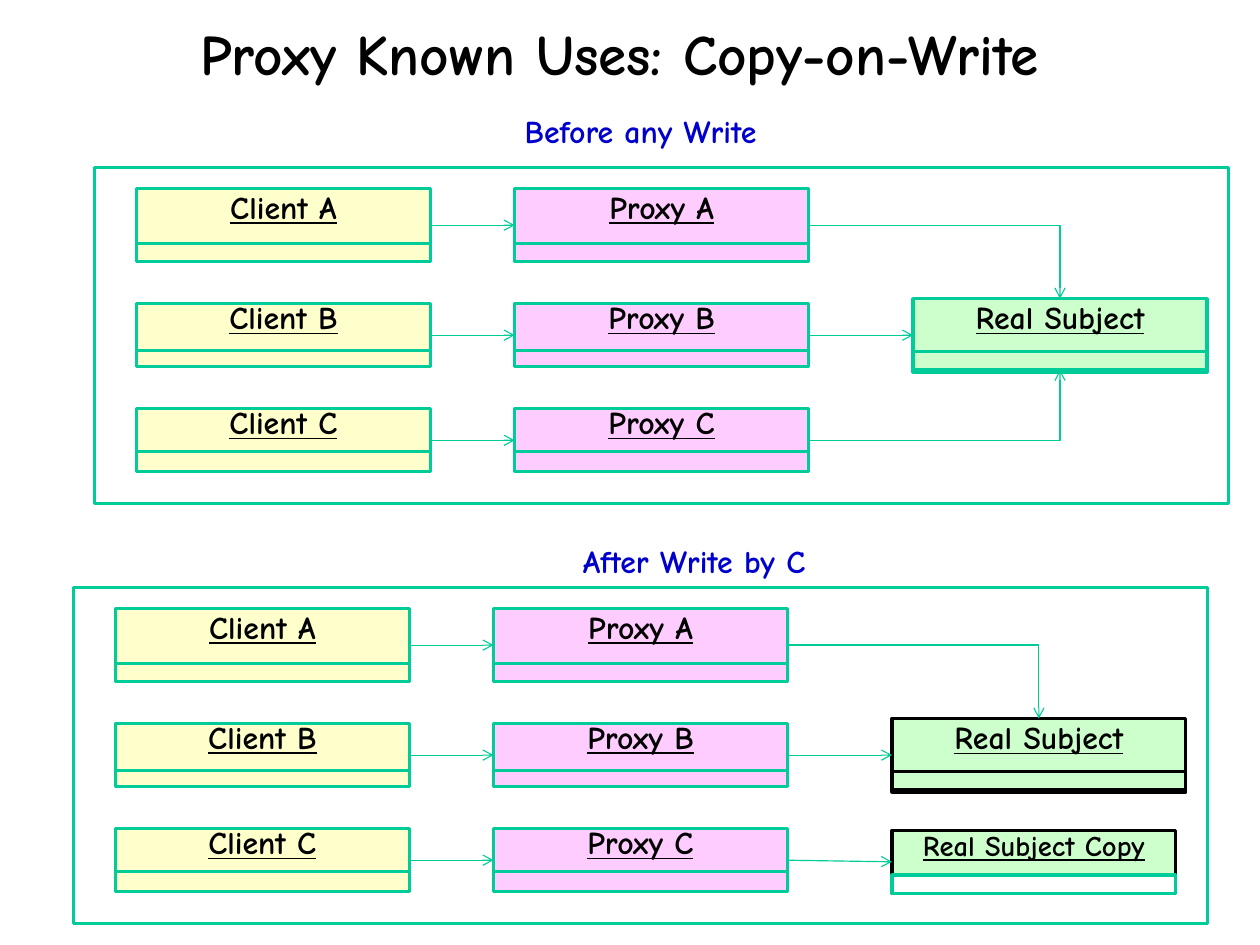
from dataclasses import dataclass

from lxml import etree
from pptx import Presentation
from pptx.dml.color import RGBColor
from pptx.enum.shapes import MSO_CONNECTOR, MSO_SHAPE
from pptx.enum.text import MSO_ANCHOR, PP_ALIGN
from pptx.oxml.ns import qn
from pptx.util import Pt

RECT = MSO_SHAPE.RECTANGLE
LINE, BENT = MSO_CONNECTOR.STRAIGHT, MSO_CONNECTOR.ELBOW
LEFT, MID = PP_ALIGN.LEFT, PP_ALIGN.CENTER
TOP, CENTER = MSO_ANCHOR.TOP, MSO_ANCHOR.MIDDLE


@dataclass(frozen=True)
class Theme:
    font: str = "Comic Neue"
    black: str = "000000"
    white: str = "FFFFFF"
    blue: str = "0000CC"
    green: str = "00CC99"
    arrow: str = "00CC98"
    cream: str = "FFFFCC"
    pink: str = "FFCCFF"
    mint: str = "CCFFCC"
    title: int = 36
    label: int = 20
    small: int = 18
    edge: float = 2
    thin: float = 0.75


@dataclass(frozen=True)
class Row:
    name: str
    top: float
    high: float
    strip: float

    @property
    def mid(self) -> float:
        return self.top + self.high / 2


@dataclass(frozen=True)
class Panel:
    head: str
    x: float
    y: float
    head_x: float
    head_y: float
    head_w: float
    edge: str
    split: bool


T = Theme()
# Places inside a panel
WIDE = 185.2
CLIENT, PROXY, REAL = 26.4, 264.6, 515.6
ROWS = [Row("A", 13.2, 46.3, 11.5), Row("B", 85.8, 39.7, 10), Row("C", 152, 39.7, 13)]
FACT = Row("Real Subject", 82.6, 46.3, 11.5)
COPY = Row("Real Subject Copy", 153, 39.7, 11.5)
PANELS = [
    Panel("Before any Write", 59.6, 105.5, 322.6, 66.2, 163.4, T.green, False),
    Panel("After Write by C", 46.3, 370, 359.3, 337, 157.7, T.black, True),
]

deck = Presentation()
deck.slide_width, deck.slide_height = Pt(793.75), Pt(595.25)
slide = deck.slides.add_slide(deck.slide_layouts[6])


def write(shape, text: str, *, size: float = T.label, color: str = T.black,
          align=MID, anchor=CENTER, line: bool = False, wrap: bool = True,
          space: float = 1, above: float = 4, below: float = 4) -> None:
    frame = shape.text_frame
    frame.word_wrap, frame.vertical_anchor = wrap, anchor
    frame.margin_left = frame.margin_right = Pt(7.9)
    frame.margin_top, frame.margin_bottom = Pt(above), Pt(below)
    part = frame.paragraphs[0]
    part.alignment, part.line_spacing = align, space
    run = part.add_run()
    run.text = text
    font = run.font
    font.name, font.size, font.bold, font.underline = T.font, Pt(size), True, line
    font.color.rgb = RGBColor.from_string(color)


def label(x: float, y: float, w: float, h: float):
    return slide.shapes.add_textbox(Pt(x), Pt(y), Pt(w), Pt(h))


def block(x: float, y: float, w: float, h: float, fill: str, edge: str = T.green):
    box = slide.shapes.add_shape(RECT, Pt(x), Pt(y), Pt(w), Pt(h))
    box.shadow.inherit = False
    box.fill.solid()
    box.fill.fore_color.rgb = RGBColor.from_string(fill)
    box.line.color.rgb = RGBColor.from_string(edge)
    box.line.width = Pt(T.edge)
    return box


def card(pan: Panel, x: float, row: Row, text: str, fill: str, *, edge: str = T.green,
         w: float = WIDE, size: float = T.label, foot: str = "",
         rim: str = "", lift: float = 0) -> None:
    """A named box with a thin strip along its foot."""
    left, top = pan.x + x, pan.y + row.top
    box = block(left, top, w, row.high, fill, edge)
    write(box, text, size=size, line=True, above=0, below=size * 1.17)
    block(left, top + row.high - row.strip - lift, w, row.strip, foot or fill, rim or edge)


def arrow(pan: Panel, x1: float, y1: float, x2: float, y2: float, kind=LINE) -> None:
    link = slide.shapes.add_connector(
        kind, Pt(pan.x + x1), Pt(pan.y + y1), Pt(pan.x + x2), Pt(pan.y + y2))
    link.line.color.rgb = RGBColor.from_string(T.arrow)
    link.line.width = Pt(T.thin)
    props = link.element.spPr
    if kind == BENT:  # a single corner
        props.find(qn("a:prstGeom")).set("prst", "bentConnector2")
    etree.SubElement(props.find(qn("a:ln")), qn("a:tailEnd"), type="arrow")
    etree.SubElement(props, qn("a:effectLst"))


def draw(pan: Panel) -> None:
    write(label(pan.head_x, pan.head_y, pan.head_w, 31.7), pan.head,
          color=T.blue, align=LEFT, anchor=TOP, wrap=False)
    block(pan.x, pan.y, 714.2, 211.7, T.white)

    # Clients and their proxies
    for row in ROWS:
        card(pan, CLIENT, row, f"Client {row.name}", T.cream)
        card(pan, PROXY, row, f"Proxy {row.name}", T.pink)
        arrow(pan, CLIENT + WIDE, row.mid, PROXY, row.mid)

    # Shared subject
    card(pan, REAL, FACT, FACT.name, T.mint, edge=pan.edge, lift=1.3)
    first, second, third = ROWS
    out, hub = PROXY + WIDE, REAL + WIDE / 2
    arrow(pan, out, first.mid, hub, FACT.top, BENT)
    arrow(pan, out, second.mid, REAL, second.mid)

    # Third proxy: own copy after the write
    if pan.split:
        card(pan, REAL, COPY, COPY.name, T.mint, edge=T.black, w=178.6,
             size=T.small, foot=T.white, rim=T.green)
        arrow(pan, out, third.mid, REAL, COPY.mid)
    else:
        arrow(pan, out, third.mid, hub, FACT.top + FACT.high - 1.3, BENT)


# Title and both states
write(label(33.1, 13, 714.2, 46.1), "Proxy Known Uses: Copy-on-Write",
      size=T.title, space=0.88)
for pan in PANELS:
    draw(pan)

deck.save("out.pptx")
